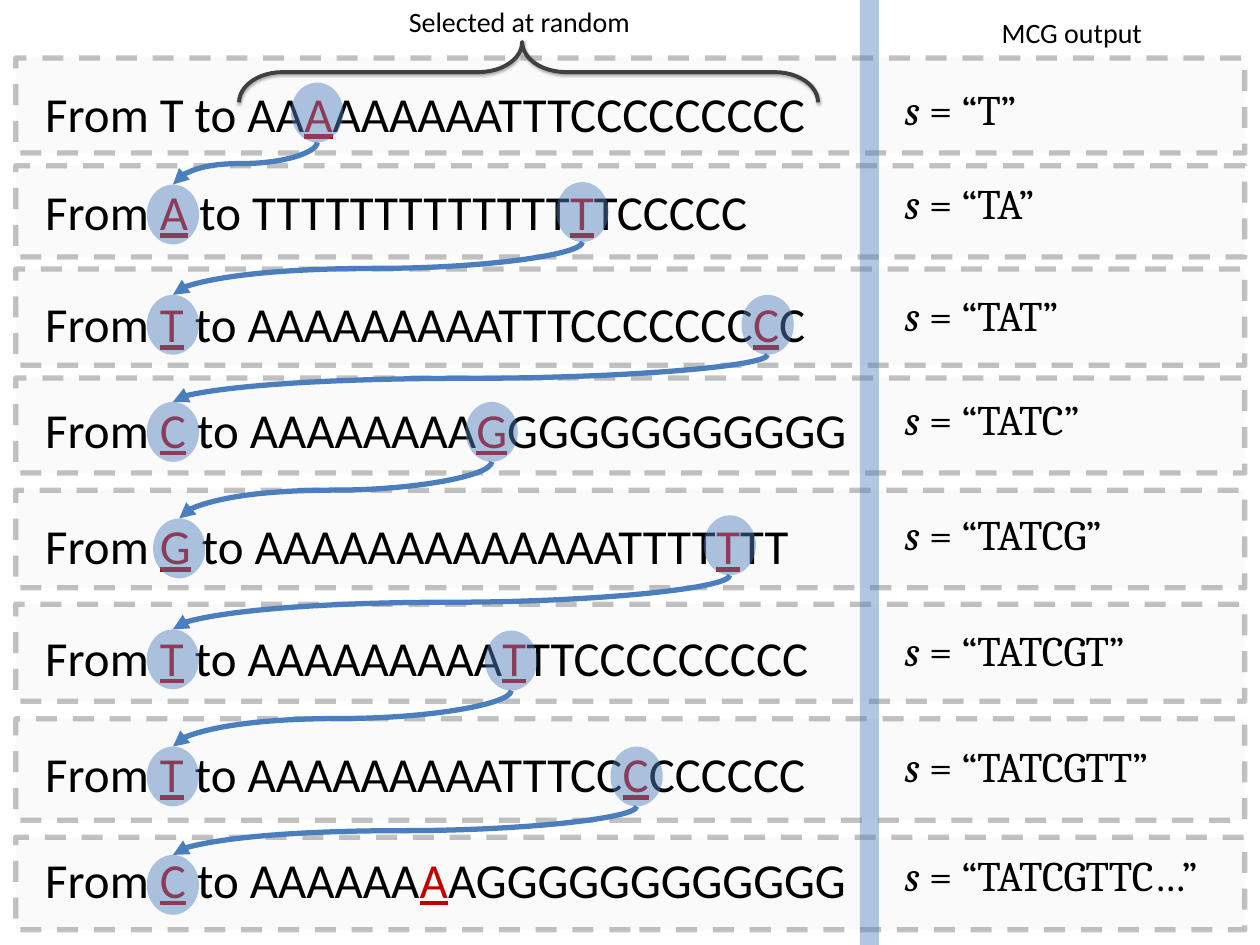
import dataclasses

import lxml.etree
import pptx
import pptx.dml.color
import pptx.enum.dml
import pptx.enum.shapes
import pptx.enum.text
import pptx.oxml.ns
import pptx.util

Inches = pptx.util.Inches
SHAPES = pptx.enum.shapes.MSO_SHAPE
BLACK, RED, BLUE = "000000", "C00000", "4F81BD"
CIRCLE_WIDTH, CIRCLE_HEIGHT = 0.83, 0.95
ROW_LEFT, ROW_WIDTH = 0.25, 19.51


@dataclasses.dataclass
class Step:
    """One row of the chain; the *_drop fields are measured from its top."""
    top: float
    height: float
    source: str
    before: str
    pick: str
    after: str
    text_drop: float
    output_drop: float
    output_width: float
    source_circle: tuple = None
    pick_circle: tuple = None


STEPS = [
    Step(0.92, 1.51, "T", "AA", "A", "AAAAAATTTCCCCCCCCC", 0.35, 0.36, 2.04,
         None, (4.37, 0.39)),
    Step(2.63, 1.45, "A", "T" * 13, "T", "TCCCCC", 0.21, 0.14, 2.34,
         (2.08, 0.30), (8.58, 0.26)),
    Step(4.27, 1.53, "T", "AAAAAAAAATTTCCCCCCC", "C", "C", 0.34, 0.27, 2.76,
         (2.08, 0.41), (11.52, 0.41)),
    Step(6.00, 1.51, "C", "A" * 8, "G", "G" * 11, 0.29, 0.20, 3.13,
         (2.08, 0.38), (7.14, 0.38)),
    Step(7.78, 1.55, "G", "AAAAAAAAAAAAATTTT", "T", "TT", 0.36, 0.25, 3.53,
         (2.18, 0.45), (10.92, 0.40)),
    Step(9.59, 1.54, "T", "A" * 9, "T", "TTCCCCCCCCC", 0.32, 0.27, 3.93,
         (2.08, 0.40), (7.45, 0.42)),
    Step(11.41, 1.61, "T", "AAAAAAAAATTTCC", "C", "CCCCCC", 0.35, 0.30, 4.33,
         (2.08, 0.44), (9.44, 0.44)),
    Step(13.29, 1.47, "C", "A" * 6, "A", "AGGGGGGGGGGGG", 0.14, 0.14, 5.15,
         (2.08, 0.28), None),
]


def color(value):
    """Turn a hex string into a colour."""
    return pptx.dml.color.RGBColor.from_string(value)


def add_alpha(parent, percent):
    """Make the solid fill found below parent translucent."""
    tint = parent.find(".//" + pptx.oxml.ns.qn("a:srgbClr"))
    lxml.etree.SubElement(tint, pptx.oxml.ns.qn("a:alpha"), val=str(percent * 1000))


def add_block(page, kind, box, fill, alpha):
    """Add a translucent shape without outline or shadow."""
    block = page.shapes.add_shape(kind, *map(Inches, box))
    block.shadow.inherit = False
    block.fill.solid()
    block.fill.fore_color.rgb = color(fill)
    add_alpha(block.fill._xPr, alpha)
    block.line.fill.background()
    return block


def add_text(page, box, runs, size, font, wrap=False):
    """Add one paragraph of (text, colour, underline, italic) runs."""
    frame = page.shapes.add_textbox(*map(Inches, box)).text_frame
    frame.word_wrap = wrap
    frame.auto_size = pptx.enum.text.MSO_AUTO_SIZE.SHAPE_TO_FIT_TEXT
    para = frame.paragraphs[0]
    for text, tint, underline, italic in runs:
        span = para.add_run()
        span.text = text
        span.font.name = font
        span.font.size = pptx.util.Pt(size)
        span.font.color.rgb = color(tint)
        span.font.underline = underline
        span.font.italic = italic


def plain(text):
    """Describe a black run."""
    return text, BLACK, False, False


def marked(text):
    """Describe a red underlined run."""
    return text, RED, True, False


def draw_step(page, box, step, output):
    """Draw the dashed row, its transition text, output and circles."""
    left, top, _, _ = box
    row = add_block(page, SHAPES.RECTANGLE, box, "AFABAB", 5)
    row.line.width = pptx.util.Pt(6)
    row.line.color.rgb = color(BLACK)
    row.line.dash_style = pptx.enum.dml.MSO_LINE.DASH
    add_alpha(row.line._ln, 24)

    if step.source_circle:
        runs = [plain("From "), marked(step.source), plain(" to " + step.before)]
    else:
        runs = [plain(f"From {step.source} to {step.before}")]
    runs += [marked(step.pick), plain(step.after)]
    add_text(page, (left + 0.37, top + step.text_drop, 13.8, 1.04),
             runs, 55.9, "Calibri", wrap=True)
    add_text(page, (left + 14.01, top + step.output_drop, step.output_width, 0.91),
             [("s", BLACK, False, True), plain(f" = “{output}”")], 48, "Cambria")

    for circle in filter(None, (step.source_circle, step.pick_circle)):
        add_block(page, SHAPES.OVAL, (left + circle[0], top + circle[1],
                                      CIRCLE_WIDTH, CIRCLE_HEIGHT), BLUE, 47)


def draw_link(page, left, step, following):
    """Curve from the bottom of a pick to the top of the next source."""
    start_x = left + step.pick_circle[0] + CIRCLE_WIDTH / 2
    start_y = step.top + step.pick_circle[1] + CIRCLE_HEIGHT
    end_x = left + following.source_circle[0] + CIRCLE_WIDTH / 2
    end_y = following.top + following.source_circle[1]
    middle_x, middle_y = (start_x + end_x) / 2, (start_y + end_y) / 2
    half_drop, half_run = (end_y - start_y) / 2, (start_x - end_x) / 2

    # The curve leaves downwards, so its frame is a quarter turn.
    link = page.shapes.add_connector(
        pptx.enum.shapes.MSO_CONNECTOR.CURVE,
        Inches(middle_x - half_drop), Inches(middle_y - half_run),
        Inches(middle_x + half_drop), Inches(middle_y + half_run))
    link.line.width = pptx.util.Pt(6)
    link.line.color.rgb = color("4B7EBC")
    qn = pptx.oxml.ns.qn
    properties = link._element.spPr
    properties.find(qn("a:xfrm")).set("rot", "5400000")
    lxml.etree.SubElement(properties.find(qn("a:ln")), qn("a:tailEnd"), type="triangle")
    lxml.etree.SubElement(properties, qn("a:effectLst"))


def draw_chain(page, box):
    """Draw all rows, then the links between neighbours."""
    left, top, width, _ = box
    output = ""
    for step in STEPS:
        output += step.source
        ending = "…" if step is STEPS[-1] else ""
        draw_step(page, (left, top + step.top, width, step.height), step, output + ending)
    for step, following in zip(STEPS, STEPS[1:]):
        draw_link(page, left, step, following)


def draw_brace(page, box):
    """Draw the upright brace frame, turned to open downwards."""
    brace = page.shapes.add_shape(SHAPES.LEFT_BRACE, *map(Inches, box))
    brace.rotation = 90
    brace.adjustments[0], brace.adjustments[1] = 0.724, 0.511
    brace.fill.background()
    brace.line.color.rgb = color("404040")
    brace.line.width = pptx.util.Pt(4.5)
    brace.shadow.inherit = False
    qn = pptx.oxml.ns.qn
    effects = brace._element.spPr.find(qn("a:effectLst"))
    shadow = lxml.etree.SubElement(
        effects, qn("a:outerShdw"), blurRad=str(pptx.util.Pt(3.1)),
        dist=str(pptx.util.Pt(1.8)), dir="5400000", rotWithShape="0")
    lxml.etree.SubElement(shadow, qn("a:srgbClr"), val=BLACK)
    add_alpha(effects, 35)


def draw_headings(page, box):
    """Draw the column divider, the brace and both column labels."""
    left, top, _, height = box
    add_block(page, SHAPES.RECTANGLE, (left + 13.65, top, 0.3, height), BLUE, 44)
    draw_brace(page, (left + 7.91, top - 3.45, 0.96, 9.19))
    for label, x, y, width in (("Selected at random", 6.39, 0.02, 3.72),
                               ("MCG output", 15.8, 0.2, 2.46)):
        add_text(page, (left + x, top + y, width, 0.64), [plain(label)], 32, "Calibri")


def main():
    """Build and save the deck."""
    deck = pptx.Presentation()
    deck.slide_width, deck.slide_height = Inches(20), Inches(15)
    page = deck.slides.add_slide(deck.slide_layouts[6])
    draw_chain(page, (ROW_LEFT, 0, ROW_WIDTH, 15))
    draw_headings(page, (0, 0, 20, 15))
    deck.save("out.pptx")


main()
